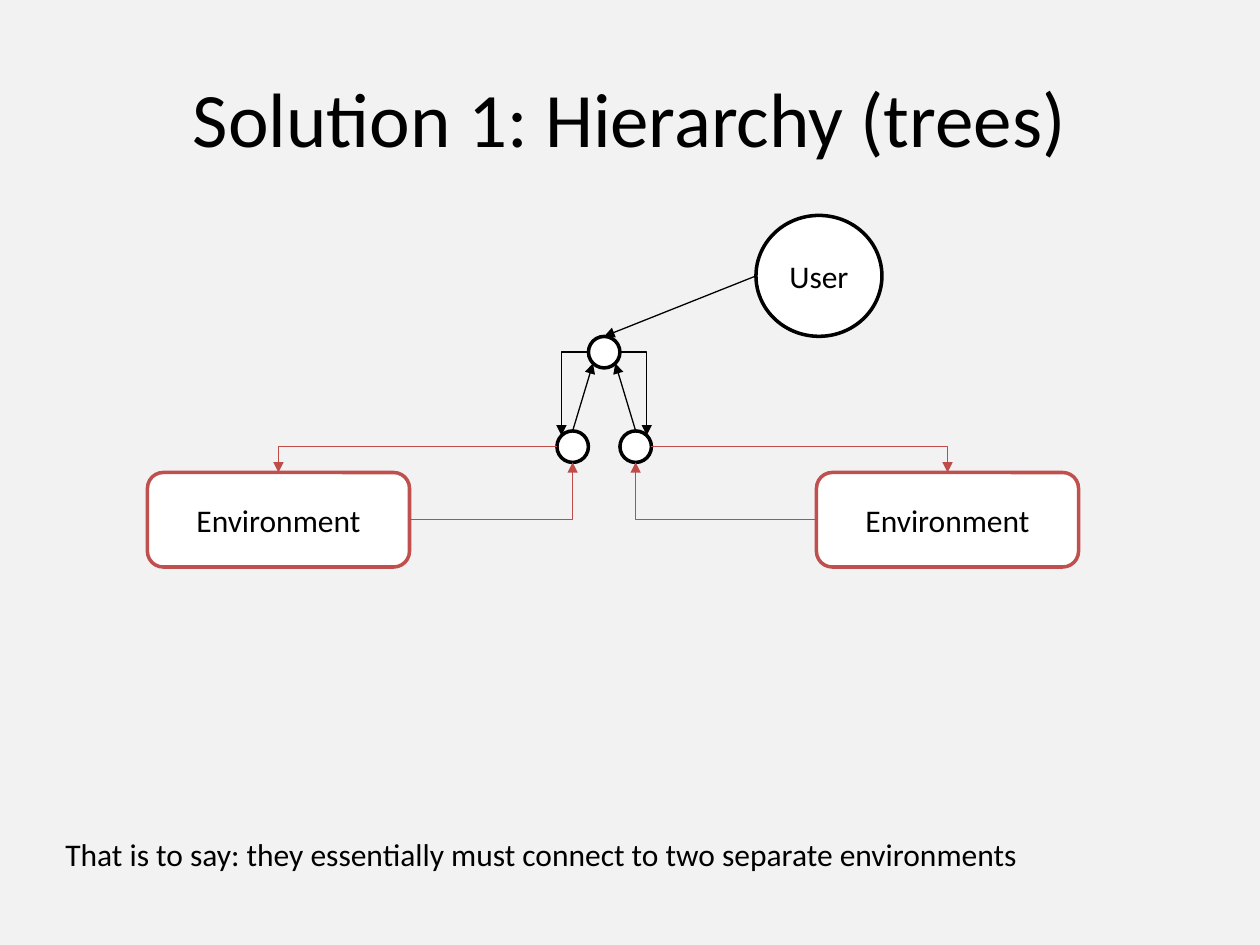
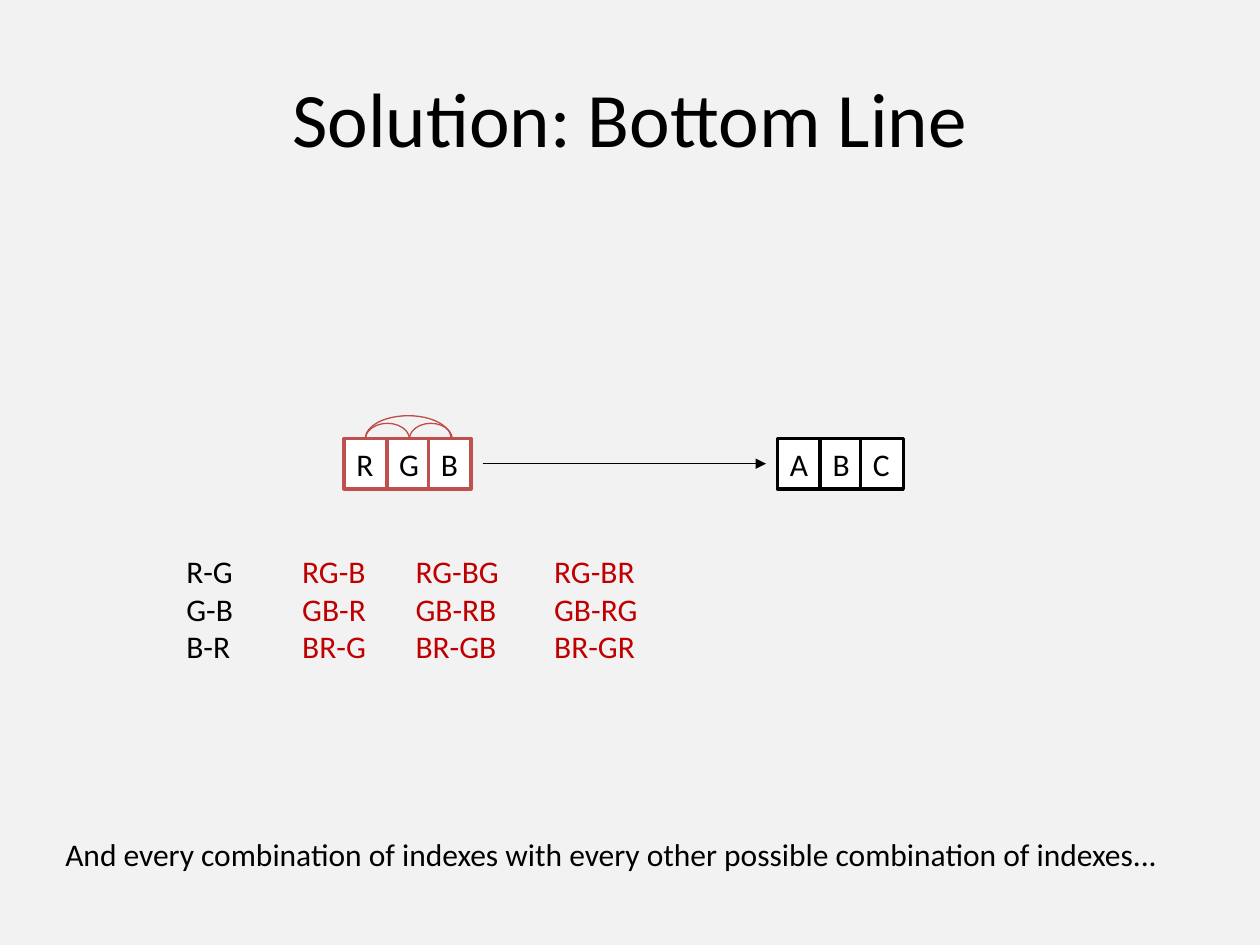
import math

import lxml.etree
import pptx
import pptx.dml.color
import pptx.enum.shapes
import pptx.enum.text
import pptx.oxml.ns
import pptx.util

Inches = pptx.util.Inches
Kind = pptx.enum.shapes.MSO_SHAPE
Route = pptx.enum.shapes.MSO_CONNECTOR
Align = pptx.enum.text.PP_ALIGN
Anchor = pptx.enum.text.MSO_ANCHOR
Fit = pptx.enum.text.MSO_AUTO_SIZE
qn = pptx.oxml.ns.qn

HUES = {"back": "F2F2F2", "ink": "000000", "white": "FFFFFF",
        "frame": "C0504D", "wire": "BF4C48", "red": "C00000"}
FONT = "Calibri"


def hue(name):
    return pptx.dml.color.RGBColor.from_string(HUES[name])


def write(frame, text, size=18, color="ink", align=Align.LEFT,
          anchor=Anchor.TOP, wrap=True, fit=Fit.NONE):
    frame.text = text
    frame.word_wrap = wrap
    frame.auto_size = fit
    frame.vertical_anchor = anchor
    for para in frame.paragraphs:
        para.alignment = align
        para.font.name = FONT
        para.font.size = pptx.util.Pt(size)
        para.font.color.rgb = hue(color)


def stroke(item, color, width):
    item.line.color.rgb = hue(color)
    item.line.width = pptx.util.Pt(width)


def paint(item, color):
    """Give a node or cell its white fill and heavy outline."""
    item.fill.solid()
    item.fill.fore_color.rgb = hue("white")
    stroke(item, color, 2)


def add_text(slide, at, text, **form):
    box = slide.shapes.add_textbox(*map(Inches, at))
    write(box.text_frame, text, **form)
    return box


def add_node(slide, kind, at, color="ink", text=""):
    node = slide.shapes.add_shape(kind, *map(Inches, at))
    node.shadow.inherit = False
    paint(node, color)
    if text:
        write(node.text_frame, text, align=Align.CENTER, anchor=Anchor.MIDDLE)
    return node


def add_arrow(slide, start, end, color="ink", route=Route.STRAIGHT):
    """Draw an arrow; an elbow runs across first, then up or down."""
    arrow = slide.shapes.add_connector(route, *start, *end)
    stroke(arrow, color, 0.75)
    props = arrow._element.spPr
    if route == Route.ELBOW:
        props.find(qn("a:prstGeom")).set("prst", "bentConnector2")
    line = props.find(qn("a:ln"))
    lxml.etree.SubElement(line, qn("a:tailEnd"), type="triangle")
    lxml.etree.SubElement(props, qn("a:effectLst"))
    return arrow


def site_point(node, site):
    """Sites run counterclockwise from the top: 8 on an ellipse, 4 on a box."""
    count = 8 if node.auto_shape_type == Kind.OVAL else 4
    turn = 2 * math.pi * site / count
    return (round(node.left + node.width / 2 * (1 - math.sin(turn))),
            round(node.top + node.height / 2 * (1 - math.cos(turn))))


def link(slide, first, out, last, into, **form):
    """Join a site of one node to a site of another with an arrow."""
    arrow = add_arrow(slide, site_point(first, out),
                      site_point(last, into), **form)
    joint = arrow._element.nvCxnSpPr.cNvCxnSpPr
    for tag, node, site in (("a:stCxn", first, out), ("a:endCxn", last, into)):
        lxml.etree.SubElement(joint, qn(tag), id=str(node.shape_id),
                              idx=str(site))


def add_arc(slide, at, angle):
    arc = slide.shapes.add_shape(Kind.ARC, *map(Inches, at))
    arc.shadow.inherit = False
    arc.fill.background()
    arc.adjustments[0] = angle * 0.6
    arc.adjustments[1] = 0
    stroke(arc, "wire", 0.75)


def add_cells(slide, cells, color):
    for text, left, width in cells:
        cell = add_text(slide, (left, 3.48, width, 0.4), text,
                        wrap=False, fit=Fit.SHAPE_TO_FIT_TEXT)
        paint(cell, color)


def add_slide(deck, title, note):
    slide = deck.slides.add_slide(deck.slide_layouts[6])
    slide.background.fill.solid()
    slide.background.fill.fore_color.rgb = hue("back")
    add_text(slide, (0.5, 0.3, 9, 1.25), title, size=44,
             align=Align.CENTER, anchor=Anchor.MIDDLE)
    add_text(slide, (0.42, 6.58, 9.17, 0.4), note,
             fit=Fit.SHAPE_TO_FIT_TEXT)
    return slide


def add_tree(deck):
    slide = add_slide(
        deck, "Solution 1: Hierarchy (trees)",
        "That is to say: they essentially must connect to two separate "
        "environments")
    root, left, right = (
        add_node(slide, Kind.OVAL, (x, y, 0.25, 0.25))
        for x, y in ((4.67, 2.67), (4.42, 3.42), (4.92, 3.42)))
    west, east = (
        add_node(slide, Kind.ROUNDED_RECTANGLE, (x, 3.75, 2.08, 0.75),
                 "frame", "Environment")
        for x in (1.17, 6.48))
    user = add_node(slide, Kind.OVAL, (6, 1.71, 1, 0.96), text="User")

    link(slide, user, 2, root, 0)
    bent = {"route": Route.ELBOW}
    wire = {"route": Route.ELBOW, "color": "wire"}
    # Per branch: leaf, its environment, outer side, root's lower corner,
    # leaf's upper corner, environment's inner side
    for leaf, place, side, low, high, inner in (
            (left, west, 2, 3, 1, 3), (right, east, 6, 5, 7, 1)):
        link(slide, leaf, 0, root, low)
        link(slide, root, side, leaf, high, **bent)
        link(slide, leaf, side, place, 0, **wire)
        link(slide, place, inner, leaf, 4, **wire)


def add_bottom_line(deck):
    slide = add_slide(
        deck, "Solution: Bottom Line",
        "And every combination of indexes with every other possible "
        "combination of indexes...")
    add_cells(slide, (("R", 2.73, 0.34), ("G", 3.07, 0.36),
                      ("B", 3.4, 0.34)), "frame")
    add_cells(slide, (("A", 6.17, 0.35), ("B", 6.51, 0.34),
                      ("C", 6.83, 0.34)), "ink")
    add_arrow(slide, (Inches(3.83), Inches(3.68)),
              (Inches(6.08), Inches(3.68)))
    for at, angle in (((3.25, 3.36, 0.34, 0.25), 183.54),
                      ((2.9, 3.3, 0.68, 0.36), 179.54),
                      ((2.9, 3.36, 0.35, 0.25), 183.54)):
        add_arc(slide, at, angle)
    for left, width, color, text in (
            (1.38, 0.58, "ink", "R-G\nG-B\nB-R"),
            (2.3, 0.71, "red", "RG-B\nGB-R\nBR-G"),
            (3.2, 0.87, "red", "RG-BG\nGB-RB\nBR-GB"),
            (4.3, 0.87, "red", "RG-BR\nGB-RG\nBR-GR")):
        add_text(slide, (left, 4.33, width, 1.01), text, color=color,
                 wrap=False, fit=Fit.SHAPE_TO_FIT_TEXT)


def main():
    deck = pptx.Presentation()
    deck.slide_width = Inches(10)
    deck.slide_height = Inches(7.5)
    add_tree(deck)
    add_bottom_line(deck)
    deck.save("out.pptx")


if __name__ == "__main__":
    main()
